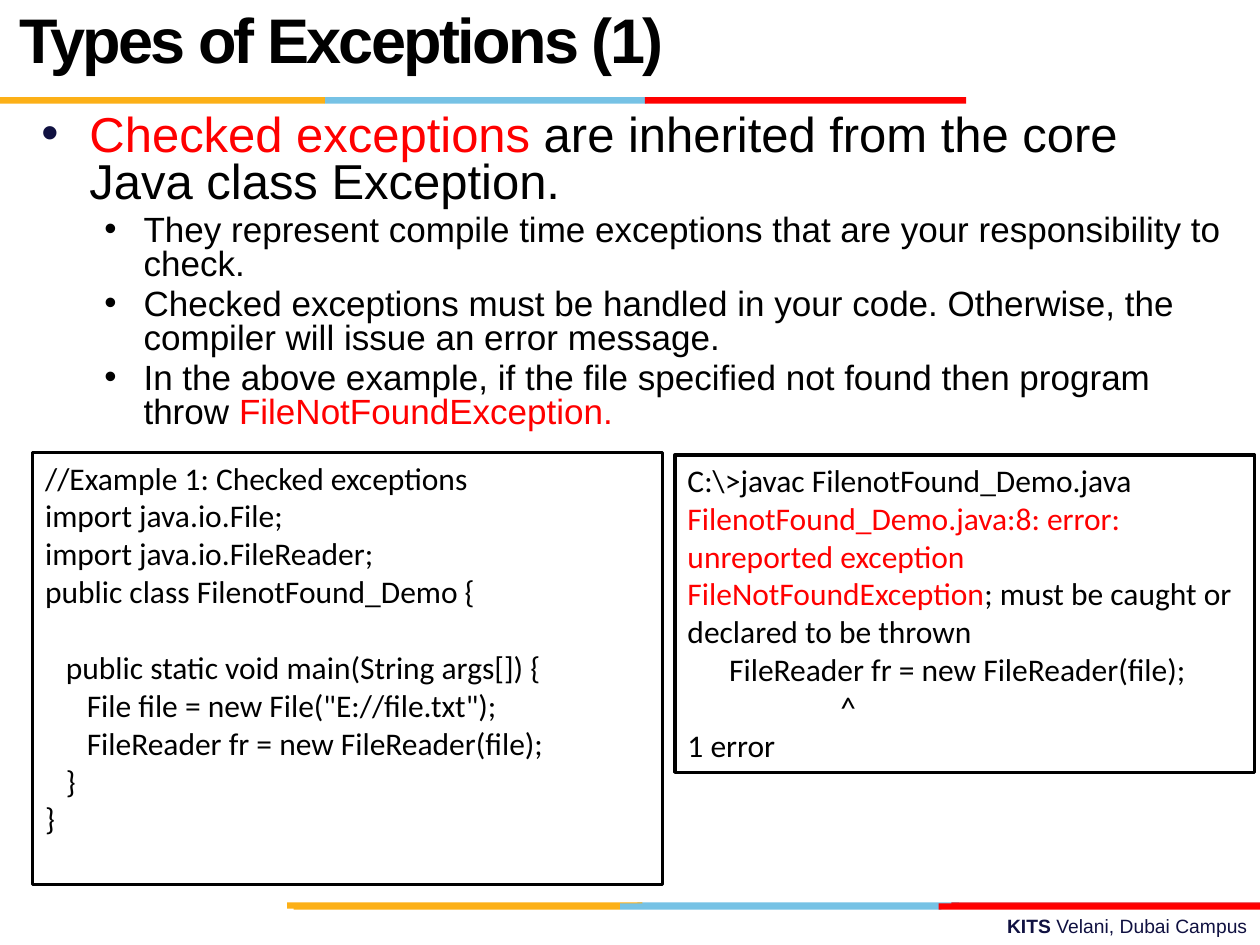
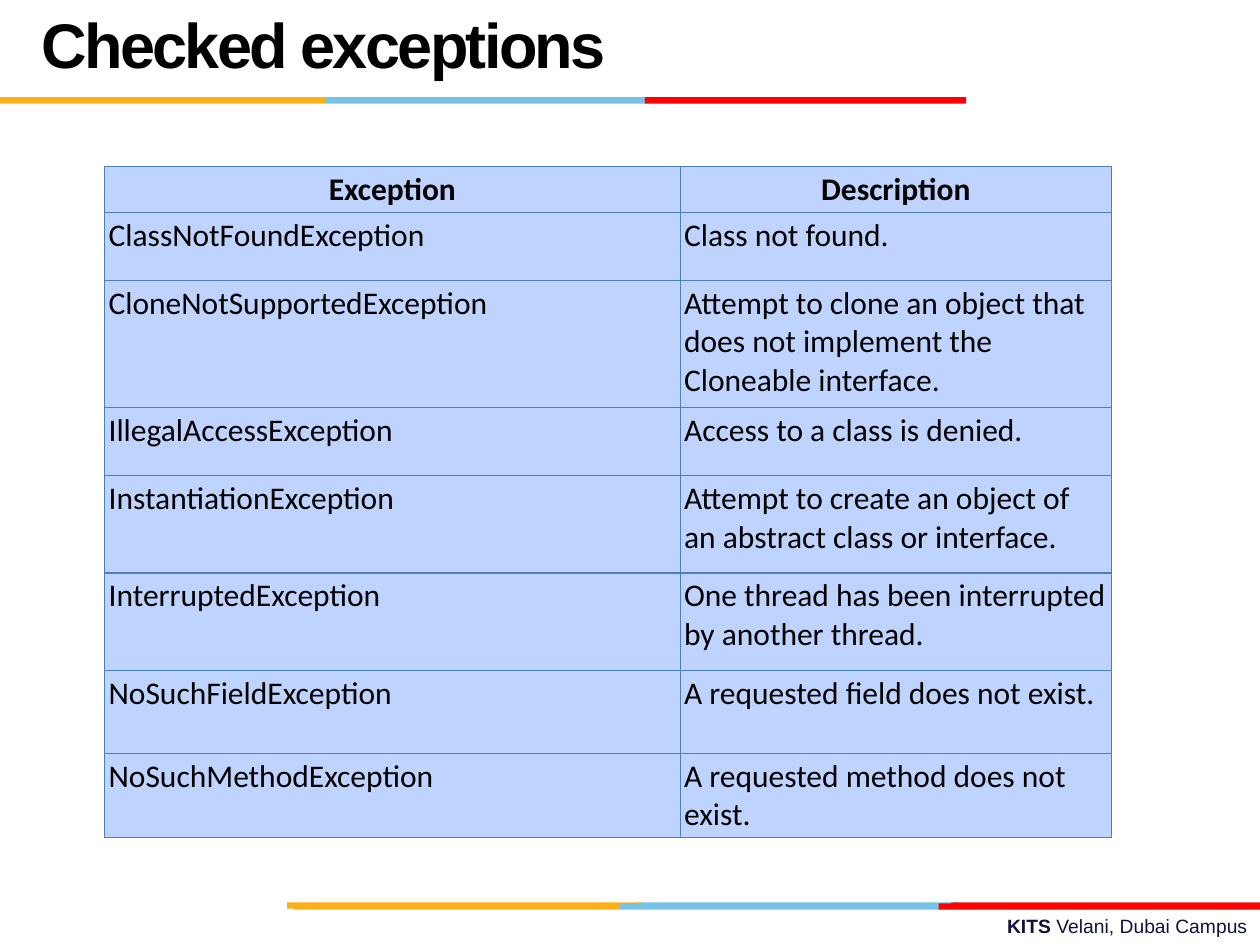
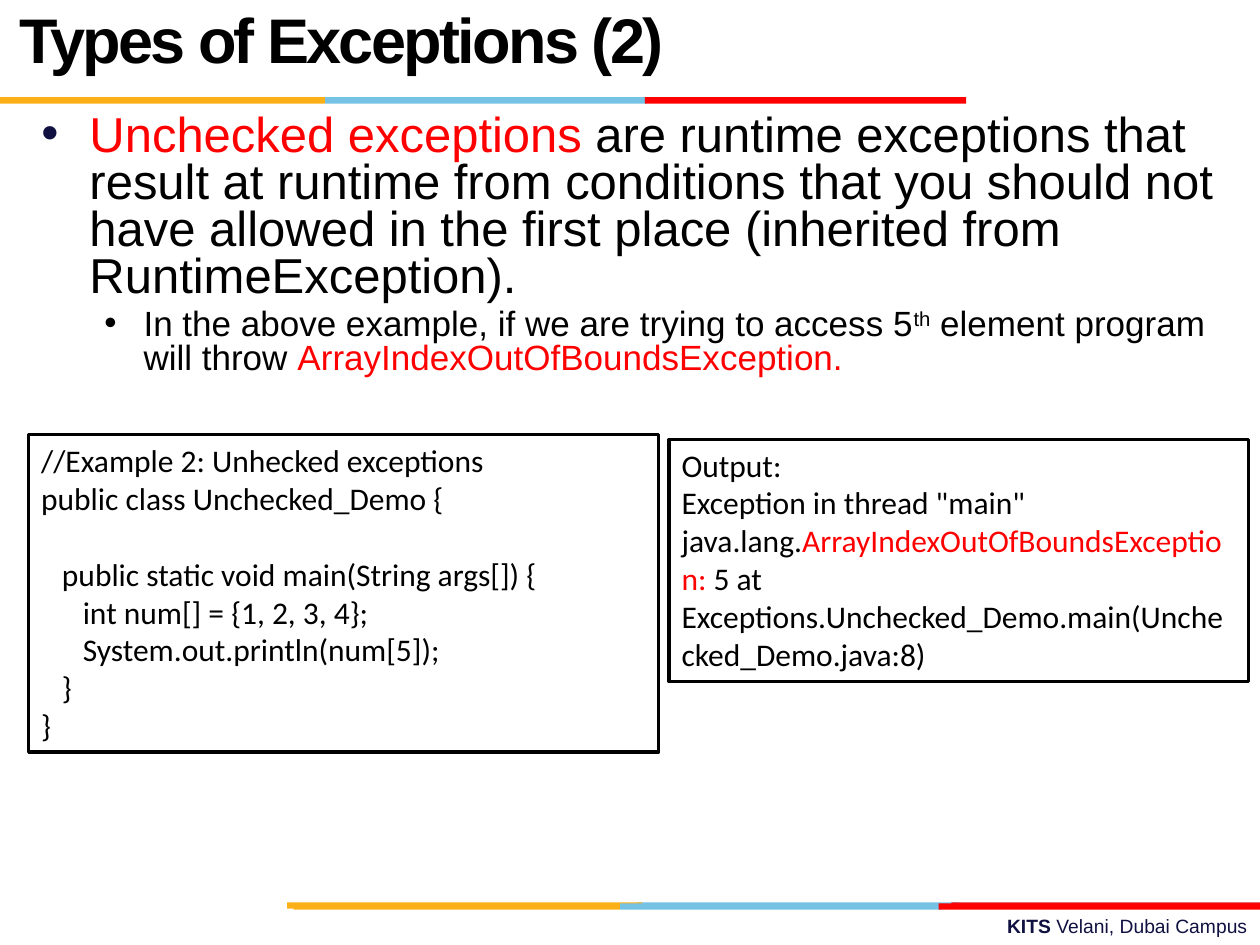
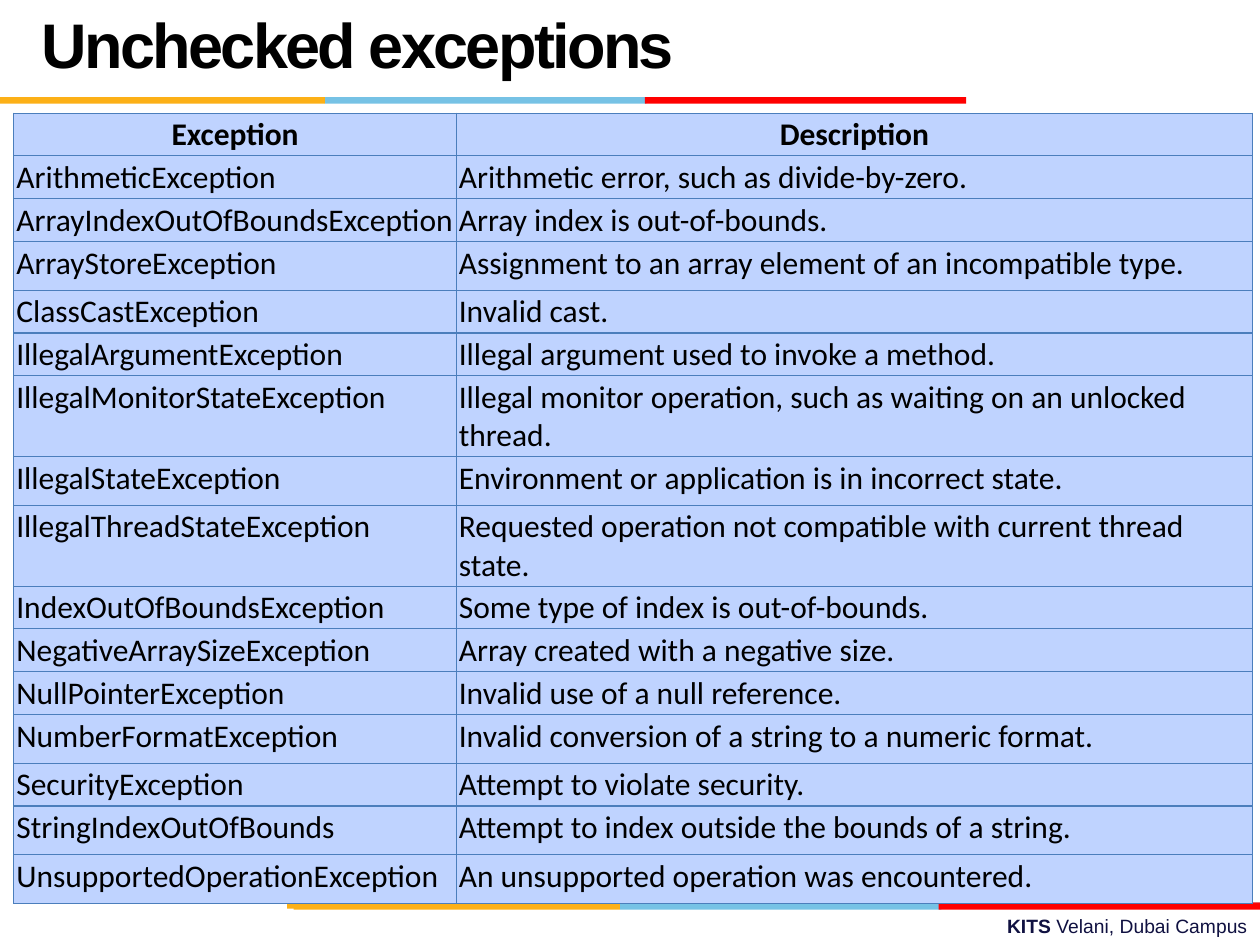
"""Builds four lecture slides on checked and unchecked Java exceptions."""
from dataclasses import dataclass
from typing import NamedTuple

from lxml import etree
from pptx import Presentation
from pptx.dml.color import RGBColor
from pptx.enum.shapes import MSO_SHAPE
from pptx.enum.text import MSO_ANCHOR, MSO_AUTO_SIZE, PP_ALIGN
from pptx.oxml.ns import qn
from pptx.util import Cm, Pt

RECTANGLE = MSO_SHAPE.RECTANGLE
TOP, MIDDLE = MSO_ANCHOR.TOP, MSO_ANCHOR.MIDDLE
FIXED_SIZE = MSO_AUTO_SIZE.NONE
LEFT, CENTER, RIGHT = PP_ALIGN.LEFT, PP_ALIGN.CENTER, PP_ALIGN.RIGHT
CONTENT_LAYOUT, TITLE_LAYOUT = 1, 5


@dataclass(frozen=True)
class Theme:
    """Colours, fonts and type sizes of the deck."""
    heading_font: str = "Arial"
    code_font: str = "Calibri"
    black: str = "000000"
    white: str = "FFFFFF"
    navy: str = "101141"
    red: str = "FF0000"
    dark_red: str = "E31C24"
    sky: str = "76C2E5"
    amber: str = "FCB017"
    cell: str = "BFD3FF"
    border: str = "4B7EBC"
    title_size: int = 36
    list_sizes: tuple = (28, 20)
    code_size: int = 18
    footer_size: int = 11


THEME = Theme()


class Span(NamedTuple):
    """A stretch of text with one look."""
    text: str
    color: str = THEME.black
    raised: bool = False
    bold: bool = False


class Line(NamedTuple):
    """A line of code, its indent in spaces and the empty lines above it."""
    spans: tuple
    indent: int = 0
    gap: int = 0


BAND_HEIGHT = 0.13
BANDS = (
    (18.19, ((12.85, 6.48, THEME.sky), (19.18, 6.22, THEME.dark_red), (5.79, 7.16, THEME.amber))),
    (18.21, ((12.5, 6.48, THEME.sky), (5.92, 6.58, THEME.amber), (18.92, 6.48, THEME.red))),
    (1.96, ((6.55, 6.48, THEME.sky), (0, 6.55, THEME.amber), (13.0, 6.48, THEME.red))),
)
FOOTER = (Span("KITS ", THEME.navy, bold=True), Span("Velani, Dubai Campus", THEME.navy))
FOOTER_AREA = (9.09, 18.31, 16.31, 0.74)
LIST_AREA = (0.58, 2.18, 24.38, 15.85)
LIST_TITLE_AREA = (0.13, 0.51, 18.62, 0.79)
TABLE_TITLE_AREA = (0.58, 0.48, 17.58, 1.02)
LIST_INDENTS = ((0.97, -0.97), (2.06, -0.79))
SPACE_WIDTH = 0.14
CODE_LINE_POINTS = 22
TABLE_HEADINGS = ("Exception", "Description")


def area(box):
    """Turns centimetres into lengths."""
    return [Cm(value) for value in box]


def rgb(color):
    """Turns a hex colour into an RGBColor."""
    return RGBColor.from_string(color)


def add_color(parent, tag, color):
    """Adds an element that holds one colour."""
    holder = etree.SubElement(parent, qn(tag))
    etree.SubElement(holder, qn("a:srgbClr"), val=color)


class DeckBuilder:
    """Holds the theme and the current slide, and draws each kind of element."""

    def __init__(self, theme):
        """Starts an empty deck."""
        self.theme = theme
        self.deck = Presentation()
        self.deck.slide_width, self.deck.slide_height = Cm(25.4), Cm(19.05)
        self.page = None

    def add_page(self, layout, title, title_area):
        """Starts a slide with its title, bands and footer."""
        self.page = self.deck.slides.add_slide(self.deck.slide_layouts[layout])
        for top, bands in BANDS:
            for left, width, color in bands:
                self.add_box((left, top, width, BAND_HEIGHT), color)
        self.add_footer()
        self.add_title(title, title_area)

    def place(self, shape, box):
        """Moves a placeholder."""
        shape.left, shape.top, shape.width, shape.height = area(box)
        shape.text_frame.auto_size = FIXED_SIZE

    def add_spans(self, para, spans, font, size):
        """Adds spans to a paragraph."""
        para.font.name, para.font.size = font, Pt(size)
        for span in spans:
            run = para.add_run()
            run.text = span.text
            run.font.color.rgb = rgb(span.color)
            if span.bold:
                run.font.bold = True
            if span.raised:
                run._r.get_or_add_rPr().set("baseline", "30000")

    def paragraphs(self, frame, items):
        """Yields one paragraph for each item."""
        for index, item in enumerate(items):
            yield (frame.add_paragraph() if index else frame.paragraphs[0]), item

    def add_title(self, text, box):
        """Fills the title placeholder."""
        title = self.page.shapes.title
        self.place(title, box)
        title.text_frame.vertical_anchor = MIDDLE
        para = title.text_frame.paragraphs[0]
        para.alignment, para.line_spacing = LEFT, Pt(self.theme.title_size)
        self.add_spans(para, [Span(text, bold=True)], self.theme.heading_font,
                       self.theme.title_size)
        para.runs[0]._r.get_or_add_rPr().set("spc", "-150")

    def add_footer(self):
        """Adds the campus line."""
        frame = self.page.shapes.add_textbox(*area(FOOTER_AREA)).text_frame
        frame.word_wrap = True
        para = frame.paragraphs[0]
        para.alignment = RIGHT
        self.add_spans(para, FOOTER, self.theme.heading_font, self.theme.footer_size)

    def add_box(self, box, fill, line=None):
        """Adds a rectangle."""
        shape = self.page.shapes.add_shape(RECTANGLE, *area(box))
        shape.shadow.inherit = False
        shape.fill.solid()
        shape.fill.fore_color.rgb = rgb(fill)
        if line:
            shape.line.color.rgb, shape.line.width = rgb(line), Pt(2)
        else:
            shape.line.fill.background()
        return shape

    def add_list(self, items):
        """Fills the body placeholder with a bulleted list."""
        body = self.page.placeholders[1]
        self.place(body, LIST_AREA)
        for para, (level, *spans) in self.paragraphs(body.text_frame, items):
            para.level, para.line_spacing = level, 0.8
            margin, indent = LIST_INDENTS[level]
            properties = para._p.get_or_add_pPr()
            properties.set("marL", str(Cm(margin)))
            properties.set("indent", str(Cm(indent)))
            add_color(properties, "a:buClr", self.theme.black if level else self.theme.navy)
            etree.SubElement(properties, qn("a:buChar"), char="•")
            self.add_spans(para, spans, self.theme.heading_font, self.theme.list_sizes[level])

    def add_code(self, box, lines):
        """Adds a framed box of code."""
        frame = self.add_box(box, self.theme.white, self.theme.black).text_frame
        frame.word_wrap, frame.vertical_anchor = True, TOP
        for para, line in self.paragraphs(frame, lines):
            para.alignment = LEFT
            if line.gap:
                para.space_before = Pt(line.gap * CODE_LINE_POINTS)
            if line.indent:
                para._p.get_or_add_pPr().set("marL", str(Cm(line.indent * SPACE_WIDTH)))
            self.add_spans(para, line.spans, self.theme.code_font, self.theme.code_size)

    def add_table(self, corner, widths, heights, entries, inset):
        """Adds a table of exceptions and their descriptions."""
        rows = (TABLE_HEADINGS, *entries)
        frame = self.page.shapes.add_table(
            len(rows), len(widths), *area((*corner, sum(widths), sum(heights))))
        table = frame.table
        table.first_row = table.horz_banding = False
        for column, width in zip(table.columns, widths):
            column.width = Cm(width)
        for row, height, texts in zip(table.rows, heights, rows):
            row.height = Cm(height)
            for cell, text in zip(row.cells, texts):
                self.fill_cell(cell, text, texts is TABLE_HEADINGS, inset)

    def fill_cell(self, cell, text, heading, inset):
        """Fills and styles one table cell."""
        cell.margin_left = cell.margin_right = cell.margin_top = cell.margin_bottom = Cm(inset)
        properties = cell._tc.get_or_add_tcPr()
        for side in "LRTB":
            edge = etree.SubElement(properties, qn(f"a:ln{side}"), w=str(Pt(0.75)))
            add_color(edge, "a:solidFill", self.theme.border)
        cell.fill.solid()
        cell.fill.fore_color.rgb = rgb(self.theme.cell)
        para = cell.text_frame.paragraphs[0]
        para.alignment = CENTER if heading else LEFT
        self.add_spans(para, [Span(text, bold=heading)], self.theme.code_font,
                       self.theme.code_size)


def code(text, indent=0, gap=0):
    """Makes a line of plain code."""
    return Line((Span(text),), indent, gap)


def red(text):
    """Makes a highlighted span."""
    return Span(text, THEME.red)


CHECKED_POINTS = (
    (0, red("Checked exceptions "), Span("are inherited from the core Java class Exception.")),
    (1, Span("They represent compile time exceptions that are your responsibility to check.")),
    (1, Span("Checked exceptions must be handled in your code. Otherwise, the compiler will "
             "issue an error message.")),
    (1, Span("In the above example, if the file specified not found then program throw "),
     red("FileNotFoundException.")),
)
CHECKED_CODE = (
    code("//Example 1: Checked exceptions"),
    code("import java.io.File;"),
    code("import java.io.FileReader;"),
    code("public class FilenotFound_Demo {"),
    code("public static void main(String args[]) {", 3, gap=1),
    code('File file = new File("E://file.txt");', 6),
    code("FileReader fr = new FileReader(file);", 6),
    code("}", 3),
    code("}"),
)
CHECKED_OUTPUT = (
    code("C:\\>javac FilenotFound_Demo.java"),
    Line((red("FilenotFound_Demo.java:8: error: unreported exception FileNotFoundException"),
          Span("; must be caught or declared to be thrown"))),
    code("FileReader fr = new FileReader(file);", 6),
    code("^", 22),
    code("1 error"),
)
CHECKED_ENTRIES = (
    ("ClassNotFoundException", "Class not found."),
    ("CloneNotSupportedException",
     "Attempt to clone an object that does not implement the Cloneable interface."),
    ("IllegalAccessException", "Access to a class is denied."),
    ("InstantiationException", "Attempt to create an object of an abstract class or interface."),
    ("InterruptedException", "One thread has been interrupted by another thread."),
    ("NoSuchFieldException", "A requested field does not exist."),
    ("NoSuchMethodException", "A requested method does not exist."),
)
CHECKED_HEIGHTS = (0.93, 1.37, 2.57, 1.37, 1.96, 1.96, 1.68, 1.68)
UNCHECKED_POINTS = (
    (0, red("Unchecked exceptions "),
     Span("are runtime exceptions that result at runtime from conditions that you should not "
          "have allowed in the first place (inherited from RuntimeException).")),
    (1, Span("In the above example, if we are trying to access 5"), Span("th", raised=True),
     Span(" element program will throw "), red("ArrayIndexOutOfBoundsException.")),
)
UNCHECKED_CODE = (
    code("//Example 2: Unhecked exceptions"),
    code("public class Unchecked_Demo {"),
    code("public static void main(String args[]) {", 3, gap=1),
    code("int num[] = {1, 2, 3, 4};", 6),
    code("System.out.println(num[5]);", 6),
    code("}", 3),
    code("}"),
)
UNCHECKED_OUTPUT = (
    code("Output:"),
    Line((Span('Exception in thread "main" java.lang.'), red("ArrayIndexOutOfBoundsException:"),
          Span(" 5 at Exceptions.Unchecked_Demo.main(Unchecked_Demo.java:8)"))),
)
UNCHECKED_ENTRIES = (
    ("ArithmeticException", "Arithmetic error, such as divide-by-zero."),
    ("ArrayIndexOutOfBoundsException", "Array index is out-of-bounds."),
    ("ArrayStoreException", "Assignment to an array element of an incompatible type."),
    ("ClassCastException", "Invalid cast."),
    ("IllegalArgumentException", "Illegal argument used to invoke a method."),
    ("IllegalMonitorStateException",
     "Illegal monitor operation, such as waiting on an unlocked thread."),
    ("IllegalStateException", "Environment or application is in incorrect state."),
    ("IllegalThreadStateException",
     "Requested operation not compatible with current thread state."),
    ("IndexOutOfBoundsException", "Some type of index is out-of-bounds."),
    ("NegativeArraySizeException", "Array created with a negative size."),
    ("NullPointerException", "Invalid use of a null reference."),
    ("NumberFormatException", "Invalid conversion of a string to a numeric format."),
    ("SecurityException", "Attempt to violate security."),
    ("StringIndexOutOfBounds", "Attempt to index outside the bounds of a string."),
    ("UnsupportedOperationException", "An unsupported operation was encountered."),
)
SINGLE, ROOMY, DOUBLE = 0.85, 0.98, 1.63
UNCHECKED_HEIGHTS = (
    SINGLE, SINGLE, SINGLE, ROOMY, SINGLE, SINGLE, DOUBLE, ROOMY,
    DOUBLE, SINGLE, SINGLE, SINGLE, ROOMY, SINGLE, ROOMY, ROOMY,
)


def main():
    """Builds and saves the deck."""
    builder = DeckBuilder(THEME)

    builder.add_page(CONTENT_LAYOUT, "Types of Exceptions (1)", LIST_TITLE_AREA)
    builder.add_list(CHECKED_POINTS)
    builder.add_code((0.66, 9.12, 12.7, 8.71), CHECKED_CODE)
    builder.add_code((13.61, 9.17, 11.68, 6.4), CHECKED_OUTPUT)

    builder.add_page(TITLE_LAYOUT, "Checked exceptions", TABLE_TITLE_AREA)
    builder.add_table((2.11, 3.35), (11.6, 8.7), CHECKED_HEIGHTS, CHECKED_ENTRIES, 0.08)

    builder.add_page(CONTENT_LAYOUT, "Types of Exceptions (2)", LIST_TITLE_AREA)
    builder.add_list(UNCHECKED_POINTS)
    builder.add_code((0.58, 8.76, 12.7, 6.4), UNCHECKED_CODE)
    builder.add_code((13.49, 8.86, 11.68, 4.88), UNCHECKED_OUTPUT)

    builder.add_page(TITLE_LAYOUT, "Unchecked exceptions", TABLE_TITLE_AREA)
    builder.add_table((0.28, 2.28), (8.92, 16.05), UNCHECKED_HEIGHTS, UNCHECKED_ENTRIES, 0.05)

    builder.deck.save("out.pptx")


if __name__ == "__main__":
    main()
